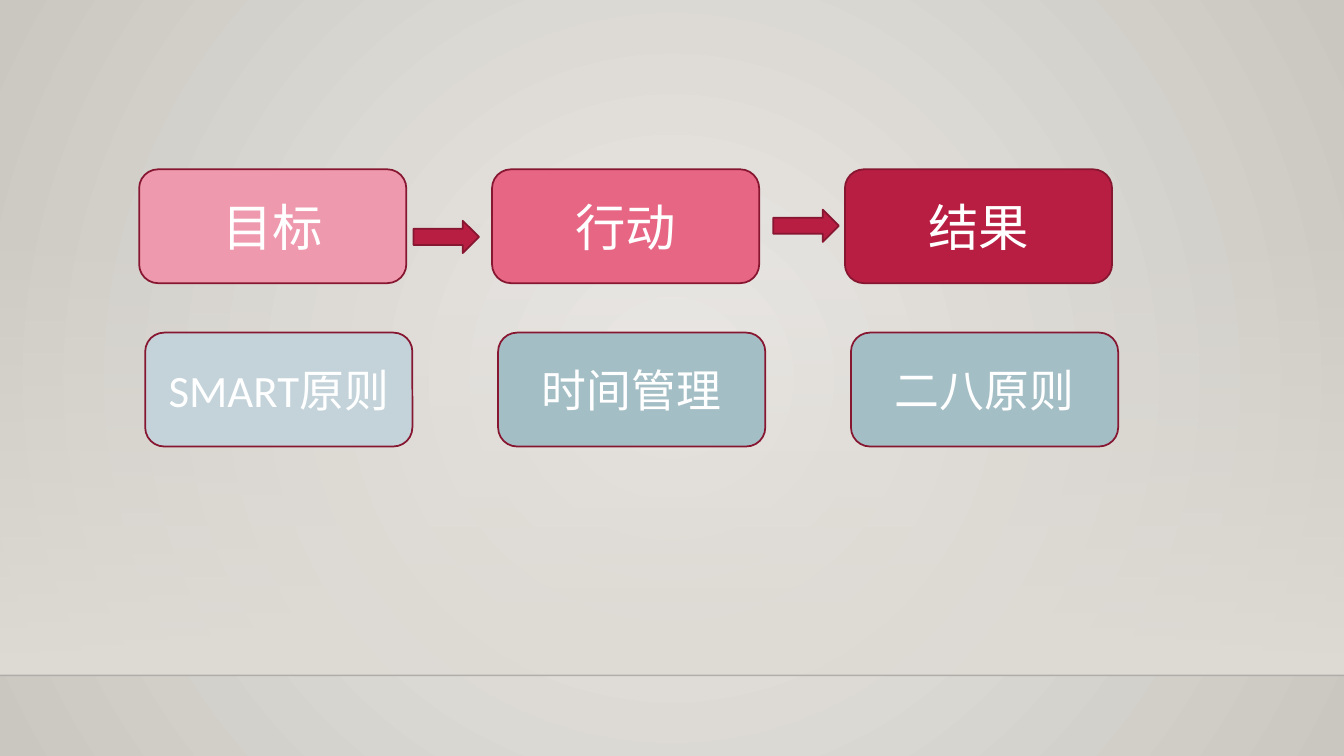
from dataclasses import dataclass

from lxml import etree
from pptx import Presentation, util as u
from pptx.dml.color import RGBColor
from pptx.enum import shapes as s, text as t
from pptx.oxml.ns import qn


@dataclass(frozen=True)
class Theme:
    """Colours, font and type sizes of the slide."""
    font: str = "Calibri"
    stage_size: int = 36
    method_size: int = 32
    text: str = "FFFFFF"
    outline: str = "871631"
    accent: str = "B71E42"
    stages: tuple = ("EE99AD", "E66684", "B71E42")
    methods: tuple = ("C3D3D9", "A4BEC6", "A4BEC6")
    glow: tuple = ("ECEAE7", "CAC7C1")
    wall: str = "DFDBD5"
    floor_line: str = "000001"


THEME = Theme()
WIDTH, HEIGHT = 13.33, 7.5
COLUMN_STEP = 3.5
BOX_SIZE = (2.65, 1.13)
ARROW_SIZE = (0.65, 0.32)
FLOOR = 6.7


def rgb(code):
    """Turn a hex code into a colour."""
    return RGBColor.from_string(code)


def set_alpha(parent, colour, percent):
    """Make each use of a colour under an element partly transparent."""
    for node in parent.iter(qn("a:srgbClr")):
        if node.get("val") == colour:
            etree.SubElement(node, qn("a:alpha"), val=str(percent * 1000))
            return


def set_gradient(fill, colours):
    """Give a fill two gradient stops."""
    fill.gradient()
    for stop, colour in zip(fill.gradient_stops, colours):
        stop.color.rgb = rgb(colour)


def paint_background(slide):
    """Light the background from its centre."""
    set_gradient(slide.background.fill, THEME.glow)
    gradient = next(slide.element.iter(qn("a:gradFill")))
    gradient.remove(gradient.find(qn("a:lin")))
    circle = etree.SubElement(gradient, qn("a:path"), path="circle")
    etree.SubElement(circle, qn("a:fillToRect"),
                     dict.fromkeys("ltrb", "50000"))


def add_wall(slide):
    """Fade the wall in from the top down to the floor."""
    top = 2.21
    wall = slide.shapes.add_shape(
        s.MSO_SHAPE.RECTANGLE, 0, u.Inches(top), u.Inches(WIDTH), u.Inches(FLOOR - top))
    wall.shadow.inherit = False
    wall.line.fill.background()
    set_gradient(wall.fill, (THEME.wall, THEME.wall))
    wall.fill.gradient_angle = 270
    set_alpha(wall.element.spPr, THEME.wall, 0)


def add_floor_line(slide):
    """Draw the faint line where the wall meets the floor."""
    edge = slide.shapes.add_connector(
        s.MSO_CONNECTOR.STRAIGHT, 0, u.Inches(FLOOR), u.Inches(WIDTH), u.Inches(FLOOR))
    edge.line.color.rgb = rgb(THEME.floor_line)
    edge.line.width = u.Pt(1)
    set_alpha(edge.element.spPr, THEME.floor_line, 20)
    etree.SubElement(edge.element.spPr, qn("a:effectLst"))


def add_outlined(slide, kind, left, top, size, colour):
    """Add a filled shape with the common outline."""
    figure = slide.shapes.add_shape(kind, *map(u.Inches, (left, top, *size)))
    figure.shadow.inherit = False
    figure.fill.solid()
    figure.fill.fore_color.rgb = rgb(colour)
    figure.line.color.rgb = rgb(THEME.outline)
    figure.line.width = u.Pt(1.25)
    return figure


def add_row(slide, left, top, labels, colours, size):
    """Add a row of labelled boxes on the column grid."""
    for column, (label, colour) in enumerate(zip(labels, colours)):
        box = add_outlined(slide, s.MSO_SHAPE.ROUNDED_RECTANGLE,
                           left + column * COLUMN_STEP, top, BOX_SIZE, colour)
        box.text_frame.text = label
        box.text_frame.vertical_anchor = t.MSO_ANCHOR.MIDDLE
        paragraph = box.text_frame.paragraphs[0]
        paragraph.alignment = t.PP_ALIGN.CENTER
        paragraph.font.name = THEME.font
        paragraph.font.size = u.Pt(size)
        paragraph.font.color.rgb = rgb(THEME.text)


def main():
    """Build and save the slide."""
    deck = Presentation()
    deck.slide_width, deck.slide_height = u.Inches(WIDTH), u.Inches(HEIGHT)
    slide = deck.slides.add_slide(deck.slide_layouts[6])
    paint_background(slide)
    add_wall(slide)
    add_floor_line(slide)
    add_row(slide, 1.38, 1.68, ("目标", "行动", "结果"), THEME.stages, THEME.stage_size)
    add_row(slide, 1.44, 3.3, ("SMART原则", "时间管理", "二八原则"),
            THEME.methods, THEME.method_size)
    for left, top in ((4.1, 2.19), (7.67, 2.08)):
        add_outlined(slide, s.MSO_SHAPE.RIGHT_ARROW, left, top, ARROW_SIZE, THEME.accent)
    deck.save("out.pptx")


if __name__ == "__main__":
    main()
